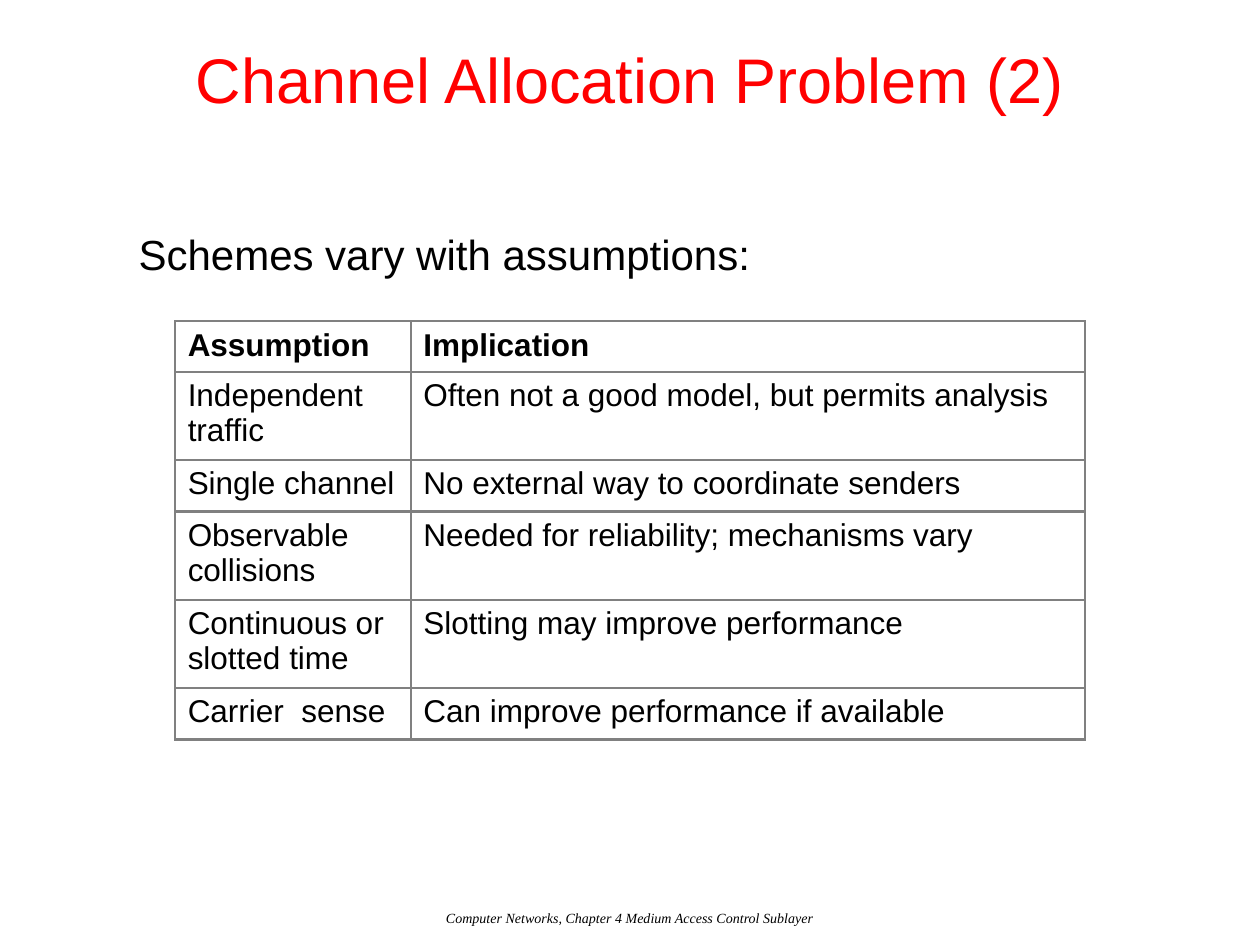
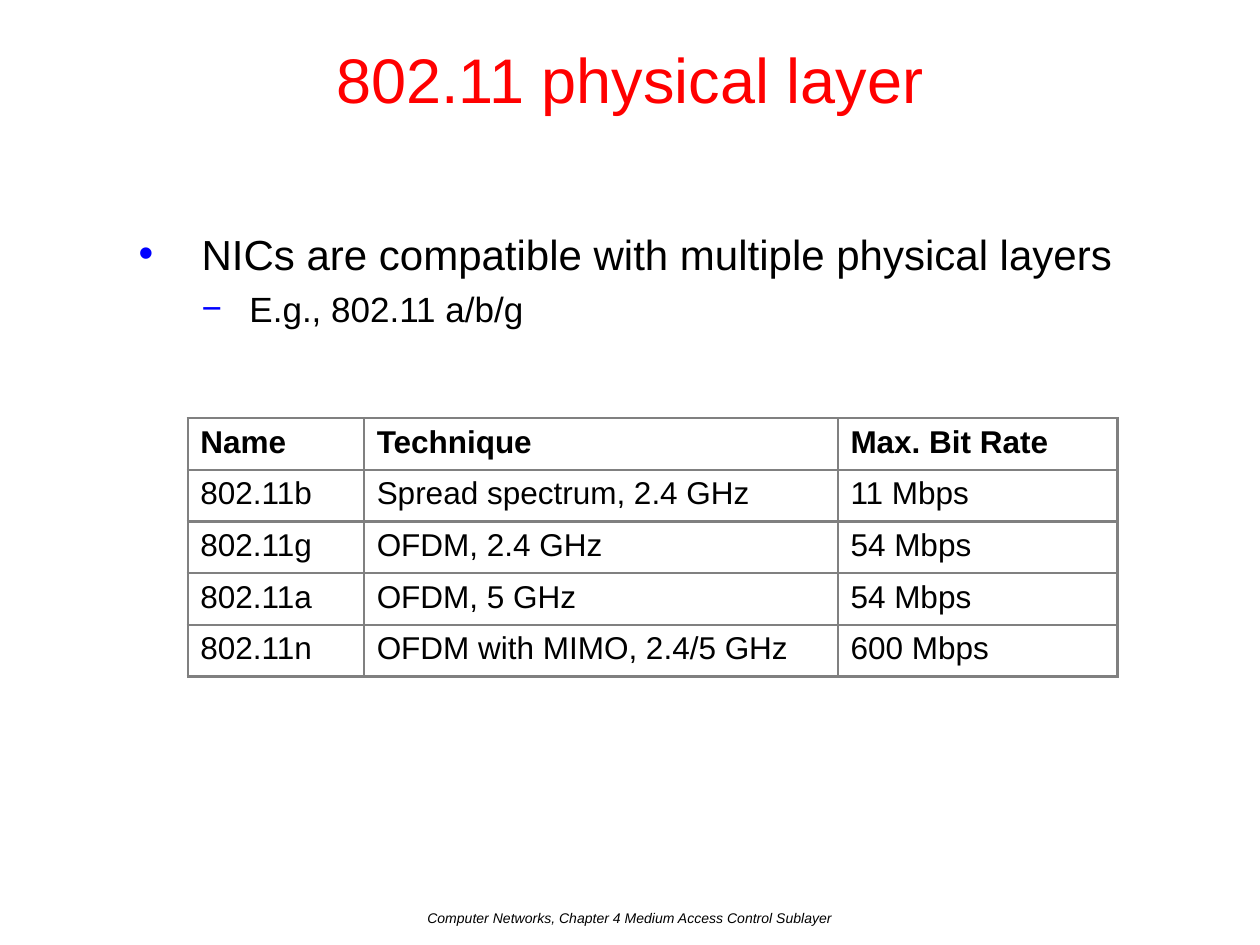
import pptx
import pptx.util
import pptx.dml.color
import pptx.enum.text
import pptx.oxml
import pptx.oxml.ns
from lxml import etree

Inches, Pt = pptx.util.Inches, pptx.util.Pt
Align, Anchor = pptx.enum.text.PP_ALIGN, pptx.enum.text.MSO_ANCHOR

# Shared look
hues = {"title": "FF0000", "text": "000000", "mark": "0000FF",
        "grid": "808080", "cell": "FFFFFF"}
base = {"name": "Arial", "bold": False, "italic": False}
forms = {
    "title": {**base, "size": Pt(36)},
    "list": {**base, "size": Pt(24)},
    "sub": {**base, "size": Pt(20)},
    "head": {**base, "size": Pt(18), "bold": True},
    "cell": {**base, "size": Pt(18)},
    "foot": {**base, "size": Pt(8), "italic": True},
}
foot = "Computer Networks, Chapter 4 Medium Access Control Sublayer"

# Content: list items are (text, level, mark, left, hang, space before, form)
pages = [
    {"title": "Channel Allocation Problem (2)",
     "list": [("Schemes vary with assumptions:", 0, None, 0, 0, 0, "list")],
     "spot": (1.39, 2.55),
     "cols": [1.87, 5.35],
     "rows": [0.4, 0.7, 0.41, 0.7, 0.7, 0.41],
     "cells": [
         ("Assumption", "Implication"),
         ("Independent traffic", "Often not a good model, but permits analysis"),
         ("Single channel", "No external way to coordinate senders"),
         ("Observable collisions", "Needed for reliability; mechanisms vary"),
         ("Continuous or slotted time", "Slotting may improve performance"),
         ("Carrier  sense", "Can improve performance if available")],
     "face": "Times New Roman"},
    {"title": "802.11 physical layer",
     "list": [("NICs are compatible with multiple physical layers",
               0, "•", 0.5, 0.5, 0, "list"),
              ("E.g., 802.11 a/b/g", 1, "−", 0.88, 0.38, 5, "sub")],
     "spot": (1.49, 3.32),
     "cols": [1.4, 3.76, 2.22],
     "rows": [0.41] * 5,
     "cells": [
         ("Name", "Technique", "Max. Bit Rate"),
         ("802.11b", "Spread spectrum, 2.4 GHz", "11 Mbps"),
         ("802.11g", "OFDM, 2.4 GHz", "54 Mbps"),
         ("802.11a", "OFDM, 5 GHz", "54 Mbps"),
         ("802.11n", "OFDM with MIMO, 2.4/5 GHz", "600 Mbps")],
     "face": "Arial"},
]


def style(para, form, hue="text", **more):
    for key, val in {**forms[form], **more}.items():
        setattr(para.font, key, val)
    para.font.color.rgb = pptx.dml.color.RGBColor.from_string(hues[hue])


def place(shape, left, top, width, height, anchor):
    box = {"left": left, "top": top, "width": width, "height": height}
    for key, val in box.items():
        setattr(shape, key, Inches(val))
    frame = shape.text_frame
    frame.word_wrap = True
    frame.auto_size = pptx.enum.text.MSO_AUTO_SIZE.NONE
    frame.vertical_anchor = anchor
    return frame


deck = pptx.Presentation()
deck.slide_width, deck.slide_height = Inches(10), Inches(7.5)
tag = pptx.oxml.ns.qn
space = pptx.oxml.ns.nsdecls("a")

for page in pages:
    slide = deck.slides.add_slide(deck.slide_layouts[1])

    # Title
    frame = place(slide.shapes.title, 0, 0, 10, 1.25, Anchor.MIDDLE)
    frame.text = page["title"]
    frame.paragraphs[0].alignment = Align.CENTER
    style(frame.paragraphs[0], "title", "title")

    # List
    frame = place(slide.placeholders[1], 1, 1.76, 8.52, 5.03, Anchor.TOP)
    frame.text = "\n".join(item[0] for item in page["list"])
    for para, item in zip(frame.paragraphs, page["list"]):
        text, level, mark, left, hang, gap, form = item
        para.level = level
        para.space_before = Pt(gap)
        props = para._p.get_or_add_pPr()
        props.set("marL", str(Inches(left)))
        props.set("indent", str(-Inches(hang)))
        if mark:
            tint = etree.SubElement(props, tag("a:buClr"))
            etree.SubElement(tint, tag("a:srgbClr"), val=hues["mark"])
            etree.SubElement(props, tag("a:buFont"), typeface="Arial")
            etree.SubElement(props, tag("a:buChar"), char=mark)
        else:
            etree.SubElement(props, tag("a:buNone"))
        style(para, form)

    # Table
    cols, rows = page["cols"], page["rows"]
    size = (*page["spot"], sum(cols), sum(rows))
    table = slide.shapes.add_table(len(rows), len(cols),
                                   *map(Inches, size)).table
    for col, width in zip(table.columns, cols):
        col.width = Inches(width)
    for row, height in zip(table.rows, rows):
        row.height = Inches(height)
    for r, line in enumerate(page["cells"]):
        for c, text in enumerate(line):
            cell = table.cell(r, c)
            cell.text = text
            style(cell.text_frame.paragraphs[0], "cell" if r else "head")
            props = cell._tc.get_or_add_tcPr()
            for side in "LRTB":
                props.append(pptx.oxml.parse_xml(
                    f'<a:ln{side} {space} w="{Pt(1.5)}"><a:solidFill>'
                    f'<a:srgbClr val="{hues["grid"]}"/>'
                    f'</a:solidFill></a:ln{side}>'))
            cell.fill.solid()
            cell.fill.fore_color.rgb = pptx.dml.color.RGBColor.from_string(
                hues["cell"])

    # Footer
    note = slide.shapes.add_textbox(0, 0, 0, 0)
    frame = place(note, 0, 7.17, 10, 0.33, Anchor.TOP)
    frame.text = foot
    frame.paragraphs[0].alignment = Align.CENTER
    style(frame.paragraphs[0], "foot", name=page["face"])

deck.save("out.pptx")
